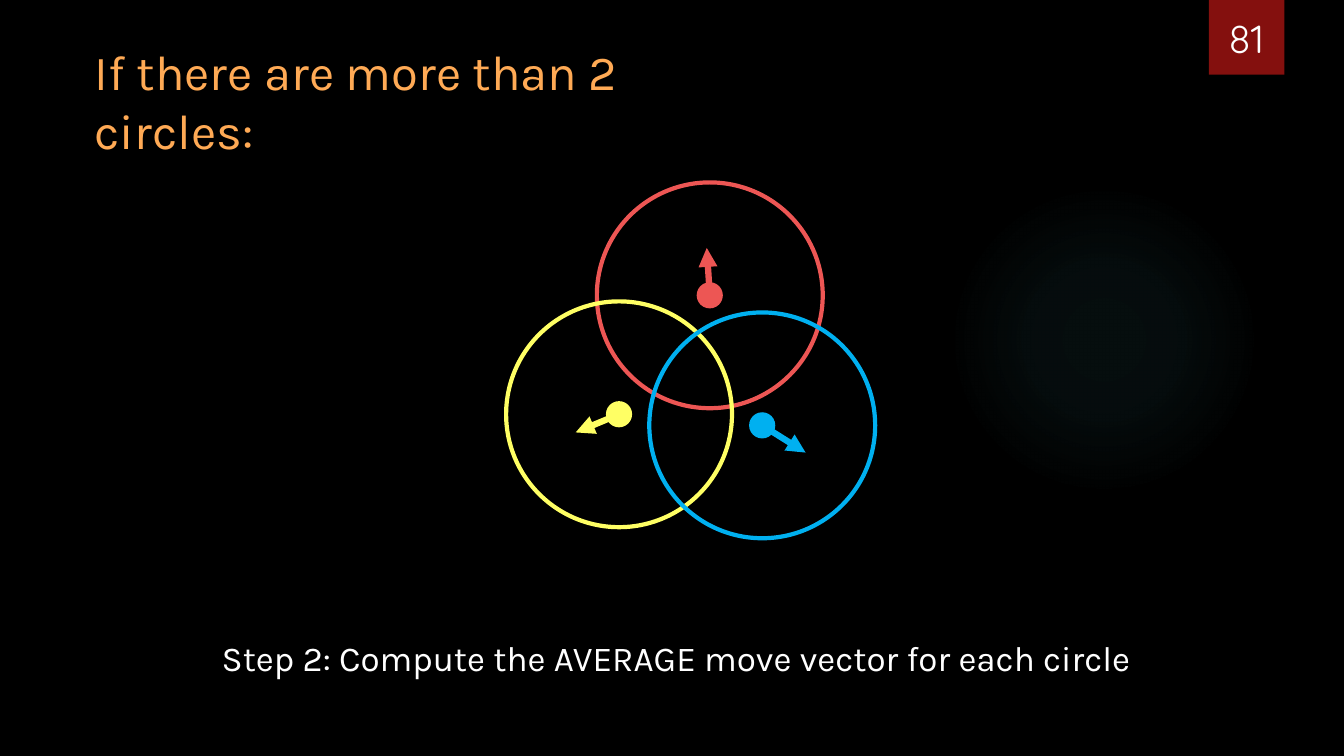
from lxml import etree
from pptx import Presentation
from pptx.dml.color import RGBColor
from pptx.enum.shapes import MSO_CONNECTOR, MSO_SHAPE
from pptx.enum.text import MSO_ANCHOR, PP_ALIGN
from pptx.oxml import parse_xml
from pptx.oxml.ns import nsdecls, qn
from pptx.util import Inches, Pt

OVAL, RECTANGLE = MSO_SHAPE.OVAL, MSO_SHAPE.RECTANGLE
STRAIGHT = MSO_CONNECTOR.STRAIGHT
TOP, BOTTOM = MSO_ANCHOR.TOP, MSO_ANCHOR.BOTTOM
LEFT, CENTER = PP_ALIGN.LEFT, PP_ALIGN.CENTER

COLORS = {
    "background": "000000", "glow": "50B9C1", "badge": "84100E",
    "title": "FFAA55", "text": "FFFFFF",
    "red": "ED5654", "yellow": "FFFF64", "blue": "00B0F0",
}
GLOW_STOPS = [(0, 7), (36, 6), (69, 0)]  # position and opacity in percent
CIRCLE_SIZE, DOT_SIZE = 2.24, 0.26

# colour, centre, move vector
CIRCLES = [
    ("red", (7.04, 2.93), (-0.03, -0.47)),
    ("yellow", (6.14, 4.11), (-0.43, 0.18)),
    ("blue", (7.56, 4.22), (0.43, 0.27)),
]


def color(name):
    return RGBColor.from_string(COLORS[name])


def add_text(page, box, text, font, size, color_name, align=LEFT, anchor=TOP):
    frame = page.shapes.add_textbox(*map(Inches, box)).text_frame
    frame.word_wrap = True
    frame.vertical_anchor = anchor
    frame.text = text
    para = frame.paragraphs[0]
    para.alignment = align
    para.font.name = font
    para.font.size = Pt(size)
    para.font.color.rgb = color(color_name)


def add_plain_shape(shapes, kind, box):
    shape = shapes.add_shape(kind, *map(Inches, box))
    shape.shadow.inherit = False
    shape.line.fill.background()
    return shape


def add_glow(page, box):
    """Soft radial light that fades out towards its edge."""
    glow = add_plain_shape(page.shapes, OVAL, box)
    stops = "".join(
        f'<a:gs pos="{position * 1000}"><a:srgbClr val="{COLORS["glow"]}">'
        f'<a:alpha val="{opacity * 1000}"/></a:srgbClr></a:gs>'
        for position, opacity in GLOW_STOPS)
    gradient = parse_xml(
        f'<a:gradFill {nsdecls("a")}><a:gsLst>{stops}</a:gsLst><a:path path="circle">'
        '<a:fillToRect l="50000" t="50000" r="50000" b="50000"/></a:path></a:gradFill>')
    glow._element.spPr.find(qn("a:prstGeom")).addnext(gradient)


def add_page_number(page, box, number):
    left, top, width, height = box
    badge = add_plain_shape(page.shapes, RECTANGLE, box)
    badge.fill.solid()
    badge.fill.fore_color.rgb = color("badge")
    add_text(page, (left - 0.09, top - 0.18, width + 0.17, height + 0.1), number,
             "Quicksand", 28, "text", CENTER, BOTTOM)


def centred_box(center, size):
    return center[0] - size / 2, center[1] - size / 2, size, size


def add_circle(page, color_name, center):
    """Outlined circle grouped with its centre dot."""
    shapes = page.shapes.add_group_shape().shapes
    ring = add_plain_shape(shapes, OVAL, centred_box(center, CIRCLE_SIZE))
    ring.fill.background()
    ring.line.color.rgb = color(color_name)
    ring.line.width = Pt(3)
    dot = add_plain_shape(shapes, OVAL, centred_box(center, DOT_SIZE))
    dot.fill.solid()
    dot.fill.fore_color.rgb = color(color_name)


def add_move_arrow(page, color_name, start, vector):
    end = start[0] + vector[0], start[1] + vector[1]
    arrow = page.shapes.add_connector(STRAIGHT, *map(Inches, (*start, *end)))
    arrow.line.color.rgb = color(color_name)
    arrow.line.width = Pt(4.5)
    etree.SubElement(arrow.line._get_or_add_ln(), qn("a:tailEnd"), type="triangle")
    etree.SubElement(arrow._element.spPr, qn("a:effectLst"))


def add_circle_diagram(page):
    for color_name, center, _ in CIRCLES:
        add_circle(page, color_name, center)
    for color_name, center, vector in CIRCLES:
        add_move_arrow(page, color_name, center, vector)


def main():
    deck = Presentation()
    deck.slide_width, deck.slide_height = Inches(13.33), Inches(7.5)
    page = deck.slides.add_slide(deck.slide_layouts[6])
    page.background.fill.solid()
    page.background.fill.fore_color.rgb = color("background")

    add_glow(page, (9.41, 1.83, 3.08, 3.08))
    add_page_number(page, (11.99, 0, 0.75, 0.74), "81")
    add_text(page, (0.84, 0.36, 6.87, 0.69), "If there are more than 2 circles:",
             "Karla", 35, "title")
    add_text(page, (2.1, 6.27, 9.88, 0.52),
             "Step 2: Compute the AVERAGE move vector for each circle",
             "Karla", 25, "text")
    add_circle_diagram(page)
    deck.save("out.pptx")


if __name__ == "__main__":
    main()
